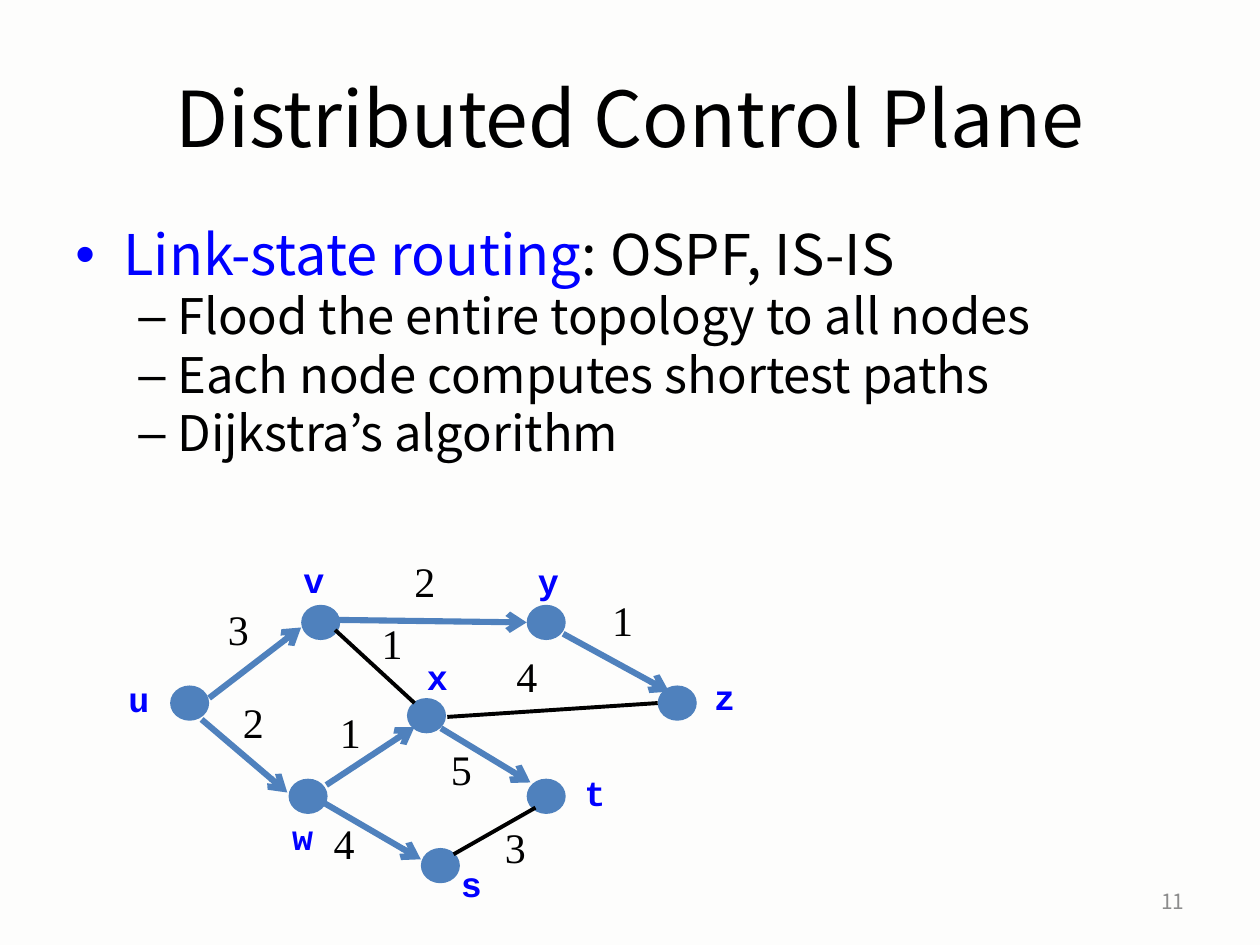
from dataclasses import dataclass

import pptx
import pptx.dml.color
import pptx.enum.shapes
import pptx.enum.text
import pptx.oxml.ns
import pptx.util
from lxml import etree
from pptx.util import Inches

BODY_FONT = "Noto Sans CJK JP"
BLACK, BLUE, STEEL, GRAY = "000000", "0000FF", "4F81BD", "8C8C8C"
Align = pptx.enum.text.PP_ALIGN
Point = tuple[float, float]


@dataclass
class Node:
    name: str
    corner: Point
    label_corner: Point
    label_width: float


@dataclass
class Link:
    cost: str
    start: Point
    end: Point
    cost_corner: Point
    on_tree: bool = True


@dataclass
class Bullet:
    phrases: list[tuple[str, str]]
    size: float = 28
    level: int = 1
    indent: float = 0.81
    hanging: float = 0.31
    mark: str = "\u2013"


NODES = [
    Node("u", (1.35, 5.44), (0.92, 5.33), 0.37),
    Node("w", (2.29, 6.18), (2.22, 6.42), 0.43),
    Node("v", (2.39, 4.8), (2.31, 4.38), 0.35),
    Node("x", (3.23, 5.54), (3.29, 5.15), 0.36),
    Node("t", (4.18, 6.18), (4.54, 6.07), 0.29),
    Node("y", (4.18, 4.8), (4.17, 4.39), 0.35),
    Node("s", (3.34, 6.73), (3.56, 6.8), 0.36),
    Node("z", (5.22, 5.44), (5.57, 5.31), 0.34),
]
LINKS = [
    Link("3", (1.66, 5.54), (2.39, 4.98), (1.71, 4.74)),
    Link("2", (1.6, 5.71), (2.28, 6.29), (1.83, 5.48)),
    Link("1", (2.66, 5), (3.29, 5.58), (2.93, 4.85), on_tree=False),
    Link("4", (2.55, 6.36), (3.34, 6.82), (2.55, 6.44)),
    Link("1", (2.59, 6.23), (3.29, 5.77), (2.6, 5.56)),
    Link("5", (3.5, 5.78), (4.21, 6.21), (3.48, 5.85)),
    Link("3", (3.6, 6.78), (4.25, 6.41), (3.91, 6.47), on_tree=False),
    Link("4", (3.55, 5.69), (5.22, 5.58), (4, 5.11), on_tree=False),
    Link("2", (2.67, 4.92), (4.18, 4.94), (3.19, 4.36)),
    Link("1", (4.47, 5.03), (5.31, 5.49), (4.76, 4.67)),
]
BULLETS = [
    Bullet([("Link-state routing", BLUE), (": OSPF, IS-IS", BLACK)], 32, 0, 0.38, 0.38, "\u2022"),
    Bullet([("Flood the entire topology to all nodes", BLACK)]),
    Bullet([("Each node computes shortest paths", BLACK)]),
    Bullet([("Dijkstra\u2019s algorithm", BLACK)]),
]


def rgb(value: str) -> pptx.dml.color.RGBColor:
    return pptx.dml.color.RGBColor.from_string(value)


def add_xml(parent, tag: str, **attributes: str):
    return etree.SubElement(parent, pptx.oxml.ns.qn(tag), attributes)


def style_run(run, size: float, font: str, color: str, bold: bool = False) -> None:
    run.font.size = pptx.util.Pt(size)
    run.font.name = font
    run.font.bold = bold
    run.font.color.rgb = rgb(color)


def add_text(slide, text: str, corner: Point, extent: Point, size: float, font: str,
             color: str, align=Align.LEFT, bold: bool = False, wrap: bool = False) -> None:
    frame = slide.shapes.add_textbox(*map(Inches, corner + extent)).text_frame
    frame.word_wrap = wrap
    if wrap:
        frame.vertical_anchor = pptx.enum.text.MSO_ANCHOR.MIDDLE
    else:
        frame.auto_size = pptx.enum.text.MSO_AUTO_SIZE.SHAPE_TO_FIT_TEXT
    frame.text = text
    paragraph = frame.paragraphs[0]
    paragraph.alignment = align
    style_run(paragraph.runs[0], size, font, color, bold)


def add_bullets(slide, bullets: list[Bullet]) -> None:
    frame = slide.shapes.add_textbox(*map(Inches, (0.5, 1.75, 9, 2.52))).text_frame
    frame.word_wrap = True
    for index, bullet in enumerate(bullets):
        paragraph = frame.add_paragraph() if index else frame.paragraphs[0]
        paragraph.level = bullet.level
        paragraph.line_spacing = 0.9
        paragraph.space_before = pptx.util.Pt(3 if index else 0)
        for text, color in bullet.phrases:
            run = paragraph.add_run()
            run.text = text
            style_run(run, bullet.size, BODY_FONT, color)
        properties = paragraph._p.get_or_add_pPr()
        properties.set("marL", str(Inches(bullet.indent)))
        properties.set("indent", str(-Inches(bullet.hanging)))
        add_xml(properties, "a:buFont", typeface="Arial")
        add_xml(properties, "a:buChar", char=bullet.mark)


def add_node(slide, node: Node) -> None:
    ellipse = slide.shapes.add_shape(
        pptx.enum.shapes.MSO_SHAPE.OVAL, *map(Inches, node.corner + (0.31, 0.28)))
    ellipse.shadow.inherit = False
    ellipse.fill.solid()
    ellipse.fill.fore_color.rgb = rgb(STEEL)
    ellipse.line.fill.background()


def add_link(slide, link: Link) -> None:
    connector = slide.shapes.add_connector(
        pptx.enum.shapes.MSO_CONNECTOR.STRAIGHT, *map(Inches, link.start + link.end))
    connector.line.color.rgb = rgb(STEEL if link.on_tree else BLACK)
    connector.line.width = pptx.util.Pt(3.5 if link.on_tree else 2.25)
    if link.on_tree:
        add_xml(connector.line._get_or_add_ln(), "a:tailEnd", type="arrow")
    add_xml(connector._element.spPr, "a:effectLst")


def main() -> None:
    deck = pptx.Presentation()
    deck.slide_width, deck.slide_height = Inches(10), Inches(7.5)
    slide = deck.slides.add_slide(deck.slide_layouts[6])
    slide.background.fill.solid()
    slide.background.fill.fore_color.rgb = rgb("FDFDFC")

    add_text(slide, "Distributed Control Plane", (0.5, 0.3), (9, 1.25), 44, BODY_FONT,
             BLACK, Align.CENTER, wrap=True)
    add_bullets(slide, BULLETS)
    add_text(slide, "11", (7.17, 6.95), (2.33, 0.4), 12, BODY_FONT, GRAY, Align.RIGHT, wrap=True)

    for node in NODES:
        add_node(slide, node)
    for link in LINKS:
        add_link(slide, link)
    for link in LINKS:
        add_text(slide, link.cost, link.cost_corner, (0.37, 0.5), 24, "Times New Roman", BLACK)
    for node in NODES:
        add_text(slide, node.name, node.label_corner, (node.label_width, 0.43), 20,
                 "Courier New", BLUE, bold=True)
    deck.save("out.pptx")


main()
